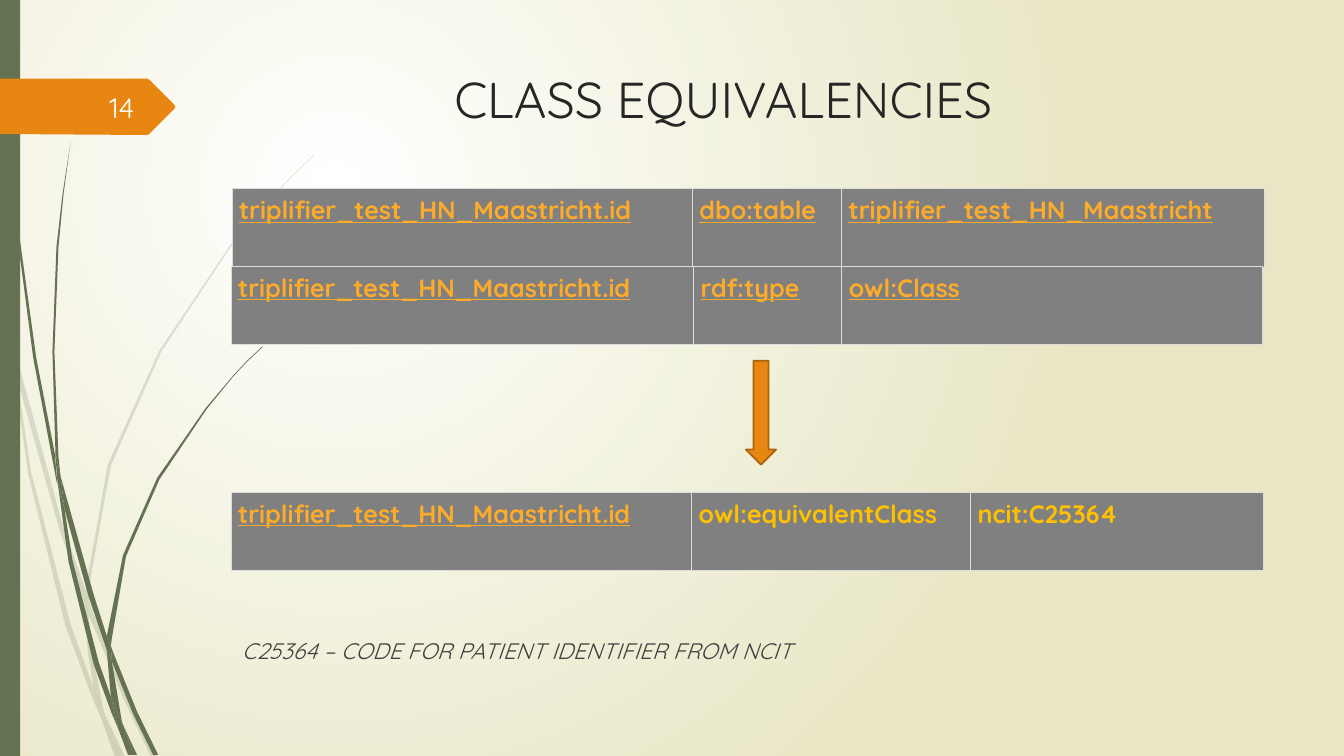
from dataclasses import dataclass

from lxml import etree
from pptx import Presentation
from pptx import util as u
from pptx.dml.color import RGBColor
from pptx.enum import shapes, text
from pptx.oxml.ns import qn


@dataclass(frozen=True)
class Theme:
    font: str = "Quicksand"
    white: str = "FFFFFF"
    sand: str = "E8E6C4"
    green: str = "647252"
    orange: str = "E78712"
    orange_edge: str = "AB640D"
    ink: str = "262626"
    note: str = "404040"
    number: str = "FEFFFF"
    cell: str = "808080"
    border: str = "DDDDDD"
    link: str = "FDAB2A"
    gold: str = "FFC000"
    title_size: int = 36
    number_size: int = 20
    cell_size: int = 18
    note_size: int = 16


GRID = u.Pt(0.72)

PALE_BLADES = [
    [(11, 350), (9, 322), (0, 282), (0, 299), (10, 344)],
    [(58, 522), (84, 599), (85, 586), (62, 520), (14, 345), (17, 376)],
    [(92, 607), (88, 596), (88, 610), (123, 694), (150, 751), (155, 751),
     (127, 692)],
    [(119, 751), (124, 751), (105, 711)],
    [(93, 683), (70, 619), (31, 469), (17, 376), (11, 350), (28, 470),
     (65, 621), (92, 693), (101, 714), (99, 707)],
    [(84, 599), (87, 646), (93, 683), (96, 692), (105, 711), (103, 706),
     (91, 646), (88, 610), (88, 608)],
    [(88, 584), (110, 462), (160, 349), (229, 245), (268, 198), (290, 175),
     (312, 154), (312, 153), (289, 175), (268, 197), (228, 244), (158, 348),
     (107, 461), (85, 584), (85, 586), (88, 596)],
    [(101, 714), (114, 751), (119, 751)],
    [(88, 608), (88, 610), (88, 596), (85, 586), (84, 599)],
    [(96, 692), (93, 683), (99, 707), (101, 714), (119, 751), (105, 711)],
]

DARK_BLADES = [
    [(7, 110), (17, 233), (33, 355), (56, 477), (57, 481), (55, 457),
     (55, 453), (36, 355), (19, 232), (8, 109), (5, 48), (4, 0), (3, 0),
     (4, 48)],
    [(88, 592), (106, 645), (106, 633), (106, 631), (93, 590), (60, 472),
     (64, 505)],
    [(113, 649), (110, 641), (111, 656), (132, 708), (152, 749), (157, 749),
     (136, 706)],
    [(110, 691), (98, 657), (72, 556), (64, 505), (57, 477), (68, 557),
     (93, 659), (111, 708), (117, 722), (116, 717)],
    [(60, 472), (58, 453), (54, 349), (58, 245), (63, 193), (70, 141),
     (62, 193), (56, 245), (52, 349), (55, 449)],
    [(133, 749), (136, 749), (122, 719)],
    [(57, 477), (64, 505), (60, 472), (55, 449), (55, 453)],
    [(111, 633), (125, 552), (158, 476), (205, 406), (231, 374), (245, 359),
     (261, 344), (260, 344), (245, 358), (231, 373), (204, 405), (156, 474),
     (122, 551), (106, 631), (110, 641)],
    [(117, 722), (127, 749), (131, 749)],
    [(106, 645), (110, 691), (116, 706), (122, 719), (121, 716), (111, 656),
     (109, 651)],
    [(106, 645), (109, 651), (111, 656), (110, 641), (106, 631), (106, 633)],
    [(116, 706), (110, 691), (116, 717), (117, 722), (130, 749), (133, 749),
     (122, 719)],
]

NUMBER_TAG = [(0, 78), (146, 78), (148, 79), (173, 104), (174, 106),
              (173, 108), (148, 133), (146, 134), (0, 133)]


class Deck:
    def __init__(self, theme):
        self.theme = theme
        self.prs = Presentation()
        self.prs.slide_width, self.prs.slide_height = u.Pt(960), u.Pt(540)
        self.s = self.prs.slides.add_slide(self.prs.slide_layouts[6])

    def background(self, inner, outer):
        fill = self.s.background.fill
        fill.gradient()
        for stop, color, position in zip(fill.gradient_stops, (inner, outer), (0, 1)):
            stop.color.rgb = RGBColor.from_string(color)
            stop.position = position
        lin = next(self.s.element.iter(qn("a:lin")))
        radial = etree.Element(qn("a:path"), path="circle")
        etree.SubElement(radial, qn("a:fillToRect"),
                         l="50000", t="50000", r="100000", b="100000")
        lin.getparent().replace(lin, radial)

    def paint(self, sp, color, edge=None, alpha=None):
        sp.shadow.inherit = False
        sp.fill.solid()
        sp.fill.fore_color.rgb = RGBColor.from_string(color)
        if alpha:
            clr = next(sp.element.spPr.iter(qn("a:srgbClr")))
            etree.SubElement(clr, qn("a:alpha"), val=str(alpha * 1000))
        if edge:
            sp.line.color.rgb = RGBColor.from_string(edge)
            sp.line.width = u.Pt(1.25)
        else:
            sp.line.fill.background()

    def outline(self, points, color, alpha=None, parent=None):
        fb = (parent or self.s).shapes.build_freeform(*points[0], scale=GRID)
        fb.add_line_segments(points[1:], close=True)
        self.paint(fb.convert_to_shape(), color, alpha=alpha)

    def blades(self, outlines, alpha=None):
        group = self.s.shapes.add_group_shape()
        for points in outlines:
            self.outline(points, self.theme.green, alpha, group)

    def shape(self, kind, box, color, edge=None):
        sp = self.s.shapes.add_shape(kind, *map(u.Pt, box))
        self.paint(sp, color, edge)

    def style(self, p, size, color, bold=False, italic=False, underline=False):
        for r in p.runs:
            r.font.name, r.font.size = self.theme.font, u.Pt(size)
            r.font.bold, r.font.italic, r.font.underline = bold, italic, underline
            r.font.color.rgb = RGBColor.from_string(color)

    def label(self, words, box, size, color, align=text.PP_ALIGN.LEFT,
              anchor=text.MSO_ANCHOR.TOP, italic=False):
        tf = self.s.shapes.add_textbox(*map(u.Pt, box)).text_frame
        tf.word_wrap, tf.vertical_anchor = True, anchor
        tf.text = words
        p = tf.paragraphs[0]
        p.alignment = align
        self.style(p, size, color, italic=italic)

    def borders(self, cell):
        tcPr = cell._tc.get_or_add_tcPr()
        for side in ("lnL", "lnR", "lnT", "lnB"):
            ln = etree.SubElement(tcPr, qn(f"a:{side}"), w=str(u.Pt(0.5)))
            fill = etree.SubElement(ln, qn("a:solidFill"))
            etree.SubElement(fill, qn("a:srgbClr"), val=self.theme.border)

    def triple(self, words, left, top, widths, linked):
        t = self.theme
        height = 56.16
        table = self.s.shapes.add_table(1, len(words), u.Pt(left), u.Pt(top),
                                        u.Pt(sum(widths)), u.Pt(height)).table
        table.first_row = table.horz_banding = False
        for i, (word, width) in enumerate(zip(words, widths)):
            table.columns[i].width = u.Pt(width)
            cell = table.cell(0, i)
            cell.margin_left = cell.margin_right = u.Pt(5)
            cell.margin_top = cell.margin_bottom = u.Pt(4.3)
            self.borders(cell)
            cell.fill.solid()
            cell.fill.fore_color.rgb = RGBColor.from_string(t.cell)
            cell.text_frame.text = word
            is_link = i < linked
            self.style(cell.text_frame.paragraphs[0], t.cell_size,
                       t.link if is_link else t.gold, bold=True, underline=is_link)


def main():
    t = Theme()
    deck = Deck(t)
    deck.background(t.white, t.sand)
    deck.blades(PALE_BLADES, alpha=20)
    deck.blades(DARK_BLADES)
    deck.shape(shapes.MSO_SHAPE.RECTANGLE, (0, 0, 14.4, 540), t.green)
    deck.outline(NUMBER_TAG, t.orange)
    deck.label("CLASS EQUIVALENCIES", (165.6, 45.36, 702, 100.8),
               t.title_size, t.ink, text.PP_ALIGN.CENTER)
    deck.label("14", (41.76, 61.92, 61.2, 28.8), t.number_size, t.number,
               text.PP_ALIGN.RIGHT, text.MSO_ANCHOR.MIDDLE)

    subject = "triplifier_test_HN_Maastricht.id"
    deck.triple((subject, "dbo:table", "triplifier_test_HN_Maastricht"),
                165.6, 134.64, (329, 106.5, 302), linked=3)
    deck.triple((subject, "rdf:type", "owl:Class"),
                165, 190, (330.5, 105.8, 300.2), linked=3)
    deck.shape(shapes.MSO_SHAPE.DOWN_ARROW, (532.8, 257.76, 21.6, 74.16),
               t.orange, t.orange_edge)
    deck.triple((subject, "owl:equivalentClass", "ncit:C25364"),
                165, 351.5, (329, 199.4, 208.8), linked=1)
    deck.label("C25364 – CODE FOR PATIENT IDENTIFIER FROM NCIT",
               (165.6, 451.44, 450, 26.64), t.note_size, t.note, italic=True)
    deck.prs.save("out.pptx")


if __name__ == "__main__":
    main()
